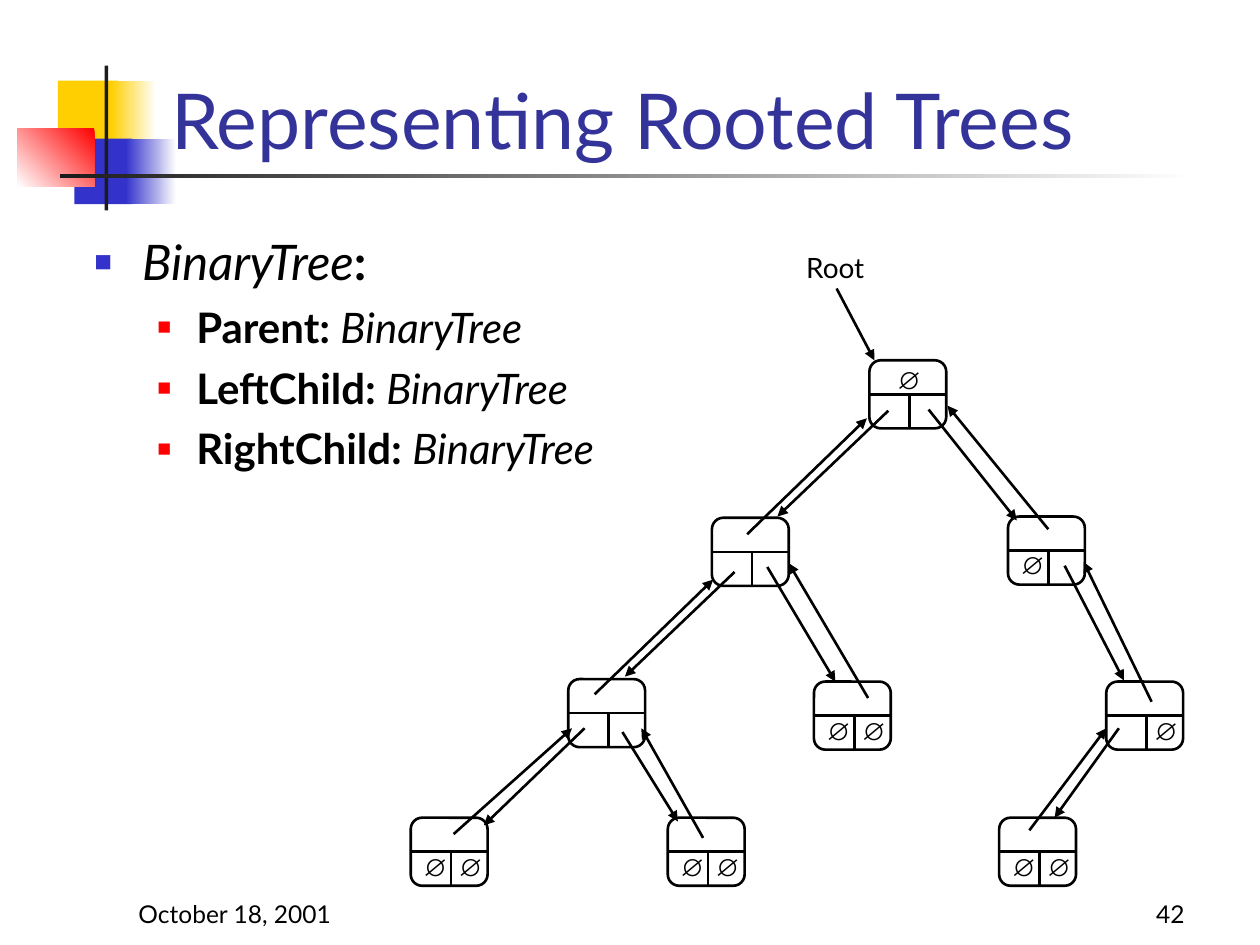
import dataclasses

import pptx
import pptx.dml.color
import pptx.enum.shapes
import pptx.enum.text
import pptx.oxml
import pptx.oxml.ns
import pptx.util
from pptx.util import Inches

SHAPES = pptx.enum.shapes.MSO_SHAPE
ALIGN = pptx.enum.text.PP_ALIGN
ANCHOR = pptx.enum.text.MSO_ANCHOR


@dataclasses.dataclass(frozen=True)
class Theme:
    """Colours, fonts and sizes of the slide."""
    ink: str = "000000"
    title: str = "333399"
    white: str = "FFFFFF"
    yellow: str = "FFCF01"
    blue: str = "3333CC"
    red: str = "FF0000"
    bar: str = "1C1C1C"
    font: str = "Lato"
    symbol_font: str = "Arial"
    title_size: int = 44
    heading_size: int = 28
    item_size: int = 24
    label_size: int = 16
    small_size: int = 14
    line_width: float = 1.5


THEME = Theme()
NODE_WIDTH, NODE_HEIGHT, DIVIDER = 0.61, 0.54, 0.32
NULL_OFFSETS = {"parent": (0.12, -0.01), "left": (0, 0.22), "right": (0.28, 0.22)}

DECORATION = [
    (0.46, 0.64, 0.48, 0.52, [THEME.yellow], 0),
    (0.88, 0.64, 0.36, 0.52, [THEME.white, THEME.yellow], 180),
    (0.59, 1.1, 0.46, 0.52, [THEME.blue], 0),
    (1, 1.1, 0.4, 0.52, [THEME.white, THEME.blue], 180),
    (0.14, 1.02, 0.61, 0.46, [THEME.red, THEME.white], 225),
    (0.83, 0.52, 0.03, 1.15, [THEME.bar], 0),
    (0.48, 1.38, 9, 0.03, [THEME.white, THEME.bar], 180),
]
NODES = [
    (6.9, 2.86, ["parent"]),
    (5.65, 4.11, []),
    (8, 4.1, ["left"]),
    (4.51, 5.39, []),
    (6.46, 5.41, ["left", "right"]),
    (8.78, 5.41, ["right"]),
    (3.26, 6.49, ["left", "right"]),
    (5.3, 6.49, ["left", "right"]),
    (7.93, 6.49, ["left", "right"]),
]
ROOT_ARROW = (6.64, 2.29, 6.94, 2.86)
CHILD_ARROWS = [
    (7.05, 3.26, 6.17, 4.1), (7.37, 3.25, 8.07, 4.13),
    (5.83, 4.54, 4.96, 5.37), (6.09, 4.5, 6.63, 5.41),
    (8.45, 4.49, 8.92, 5.4), (4.64, 5.78, 3.84, 6.55),
    (4.94, 5.81, 5.38, 6.52), (8.88, 5.78, 8.37, 6.49),
]
PARENT_ARROWS = [
    (5.93, 4.24, 6.88, 3.32), (8.32, 4.2, 7.52, 3.22),
    (4.72, 5.51, 5.66, 4.6), (6.89, 5.54, 6.26, 4.47),
    (9.14, 5.57, 8.6, 4.46), (3.6, 6.62, 4.54, 5.78),
    (5.58, 6.65, 5.09, 5.78), (8.17, 6.59, 8.78, 5.78),
]
FIELDS = ["Parent: ", "LeftChild: ", "RightChild: "]


def rgb(value):
    """Turn a hex string into a colour."""
    return pptx.dml.color.RGBColor.from_string(value)


def add_xml(parent, tag, **attributes):
    """Append a DrawingML element to a parent element."""
    element = pptx.oxml.parse_xml(f"<a:{tag} {pptx.oxml.ns.nsdecls('a')}/>")
    for name, value in attributes.items():
        element.set(name, str(value))
    parent.append(element)
    return element


def add_block(page, left, top, width, height, colours, angle):
    """Add a borderless rectangle with a plain or gradient fill."""
    block = page.shapes.add_shape(
        SHAPES.RECTANGLE, Inches(left), Inches(top), Inches(width), Inches(height))
    block.shadow.inherit = False
    block.line.fill.background()
    if len(colours) == 1:
        block.fill.solid()
        block.fill.fore_color.rgb = rgb(colours[0])
        return
    block.fill.gradient()
    block.fill.gradient_angle = angle
    for stop, colour in zip(block.fill.gradient_stops, colours):
        stop.color.rgb = rgb(colour)


def add_line(shapes, start_x, start_y, end_x, end_y, arrow=False):
    """Add a straight line, with an arrowhead at its end if asked."""
    line = shapes.add_connector(
        pptx.enum.shapes.MSO_CONNECTOR.STRAIGHT,
        Inches(start_x), Inches(start_y), Inches(end_x), Inches(end_y))
    line.line.color.rgb = rgb(THEME.ink)
    line.line.width = pptx.util.Pt(THEME.line_width)
    if arrow:
        add_xml(line.line._get_or_add_ln(), "tailEnd", type="triangle")
    add_xml(line._element.spPr, "effectLst")
    return line


def style_span(span, size, colour=THEME.ink, font=THEME.font, bold=False, italic=False):
    """Format one run of text."""
    span.font.size = pptx.util.Pt(size)
    span.font.name = font
    span.font.color.rgb = rgb(colour)
    span.font.bold = bold
    span.font.italic = italic


def add_text(page, left, top, width, height, text, size, wrap=True,
             align=ALIGN.LEFT, anchor=ANCHOR.TOP, **style):
    """Add a text box with one formatted paragraph."""
    box = page.shapes.add_textbox(
        Inches(left), Inches(top), Inches(width), Inches(height))
    frame = box.text_frame
    frame.word_wrap = wrap
    frame.vertical_anchor = anchor
    frame.text = text
    para = frame.paragraphs[0]
    para.alignment = align
    style_span(para.runs[0], size, **style)


def add_bullet(para, pieces, size, margin, hanging, space, colour, percent):
    """Fill a paragraph with bold or italic pieces behind a square bullet."""
    for text, bold in pieces:
        span = para.add_run()
        span.text = text
        style_span(span, size, bold=bold, italic=not bold)
    para.space_before = pptx.util.Pt(space)
    properties = para._p.get_or_add_pPr()
    properties.set("marL", str(Inches(margin)))
    properties.set("indent", str(-Inches(hanging)))
    add_xml(add_xml(properties, "buClr"), "srgbClr", val=colour)
    add_xml(properties, "buSzPct", val=percent * 1000)
    add_xml(properties, "buFont", typeface=THEME.symbol_font)
    add_xml(properties, "buChar", char="■")


def add_outline(page):
    """Add the bulleted fields of the tree type."""
    box = page.shapes.add_textbox(Inches(0.65), Inches(1.79), Inches(9.14), Inches(2.39))
    frame = box.text_frame
    frame.word_wrap = True
    add_bullet(frame.paragraphs[0], [("BinaryTree", False), (":", True)],
               THEME.heading_size, 0.38, 0.38, 7, THEME.blue, 60)
    for field in FIELDS:
        para = frame.add_paragraph()
        para.level = 1
        add_bullet(para, [(field, True), ("BinaryTree", False)],
                   THEME.item_size, 0.81, 0.31, 6, THEME.red, 55)


def add_node(page, left, top):
    """Add a tree node with a parent cell above two child cells."""
    shapes = page.shapes.add_group_shape().shapes
    frame = shapes.add_shape(
        SHAPES.ROUNDED_RECTANGLE, Inches(left), Inches(top),
        Inches(NODE_WIDTH), Inches(NODE_HEIGHT))
    frame.shadow.inherit = False
    frame.fill.background()
    frame.line.color.rgb = rgb(THEME.ink)
    frame.line.width = pptx.util.Pt(THEME.line_width)
    middle = top + NODE_HEIGHT / 2
    across = add_line(shapes, left, middle, left + NODE_WIDTH, middle)
    across.begin_connect(frame, 1)
    across.end_connect(frame, 3)
    add_line(shapes, left + DIVIDER, middle, left + DIVIDER, top + NODE_HEIGHT)


def add_tree(page):
    """Add the nodes, their pointers and their empty-pointer signs."""
    for left, top, _ in NODES:
        add_node(page, left, top)
    for arrow in [ROOT_ARROW, *CHILD_ARROWS, *PARENT_ARROWS]:
        add_line(page.shapes, *arrow, arrow=True)
    for left, top, nulls in NODES:
        for cell in nulls:
            shift_x, shift_y = NULL_OFFSETS[cell]
            add_text(page, left + shift_x, top + shift_y, 0.35, 0.34, "∅",
                     THEME.small_size, wrap=False, font=THEME.symbol_font, bold=True)
    add_text(page, 6.3, 1.94, 0.68, 0.37, "Root", THEME.label_size, wrap=False)


def main():
    """Build the slide and save it."""
    deck = pptx.Presentation()
    deck.slide_width, deck.slide_height = Inches(10), Inches(7.5)
    page = deck.slides.add_slide(deck.slide_layouts[6])
    for block in DECORATION:
        add_block(page, *block)
    add_text(page, 1.26, 0.11, 8.52, 1.25, "Representing Rooted Trees",
             THEME.title_size, anchor=ANCHOR.BOTTOM, colour=THEME.title)
    add_outline(page)
    add_tree(page)
    add_text(page, 7.42, 6.92, 2.08, 0.5, "42", THEME.small_size,
             align=ALIGN.RIGHT, anchor=ANCHOR.BOTTOM)
    add_text(page, 1, 6.92, 2.08, 0.5, "October 18, 2001", THEME.small_size,
             anchor=ANCHOR.BOTTOM)
    deck.save("out.pptx")


if __name__ == "__main__":
    main()
